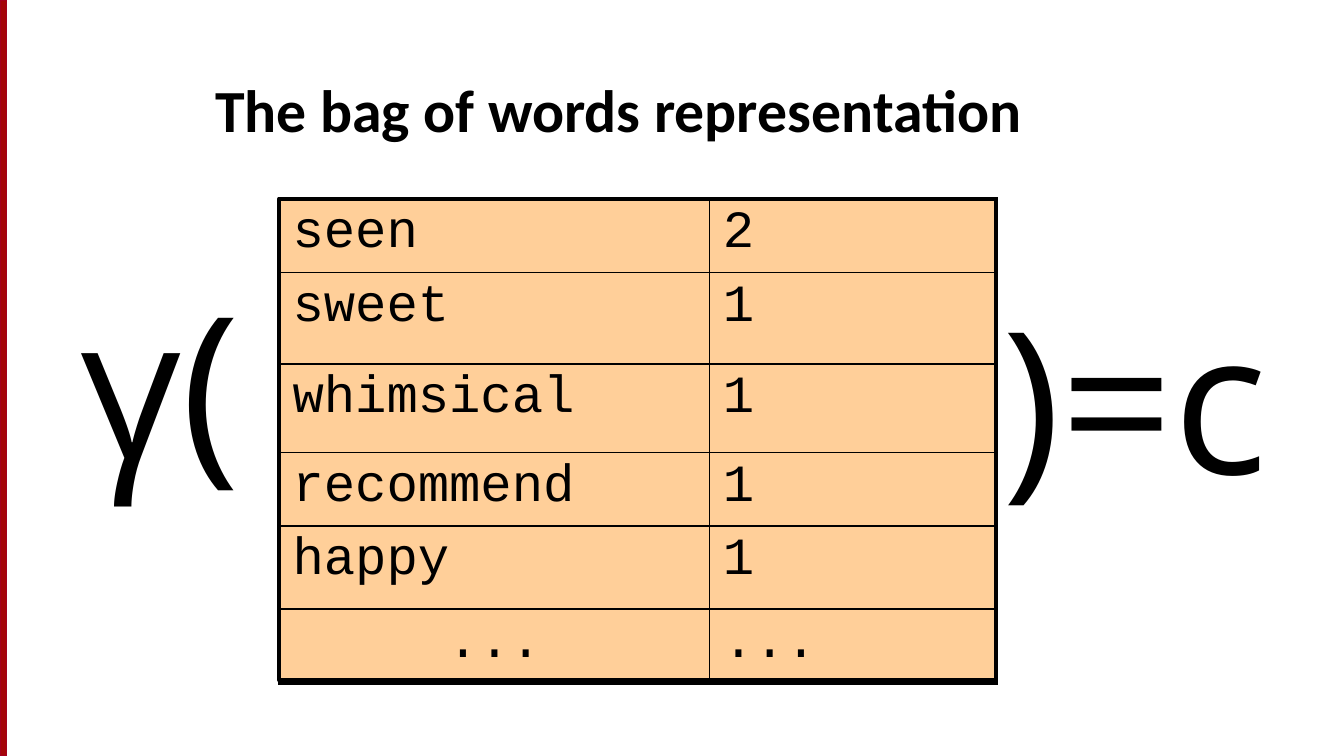
from lxml import etree
from pptx import Presentation
from pptx.dml.color import RGBColor
from pptx.enum.shapes import MSO_SHAPE
from pptx.enum.text import MSO_ANCHOR, MSO_AUTO_SIZE, PP_ALIGN
from pptx.oxml.ns import qn
from pptx.util import Cm, Pt

RECTANGLE = MSO_SHAPE.RECTANGLE
BOTTOM = MSO_ANCHOR.BOTTOM
LEFT, CENTER = PP_ALIGN.LEFT, PP_ALIGN.CENTER
NO_FIT, GROW = MSO_AUTO_SIZE.NONE, MSO_AUTO_SIZE.SHAPE_TO_FIT_TEXT

BLACK, PEACH, CRIMSON, DARK_RED = "000000", "FFCF99", "A4001D", "A40508"
TITLE_FONT = {"name": "Calibri", "size": Pt(32), "bold": True}
FORMULA_FONT = {"name": "Open Sans", "size": Pt(106)}
WORD_FONT = {"name": "Courier New", "size": Pt(28)}
CELL_MARGINS = {"margin_left": Cm(0.25), "margin_right": Cm(0.25),
                "margin_top": Cm(0.1), "margin_bottom": Cm(0.1)}
THICK, THIN = Pt(2.25), Pt(1)

WORD_COUNTS = [("seen", "2"), ("sweet", "1"), ("whimsical", "1"),
               ("recommend", "1"), ("happy", "1"), ("...", "...")]
COLUMN_WIDTHS = [8.13, 5.41]
ROW_HEIGHTS = [1.36, 1.73, 1.68, 1.36, 1.57, 1.4]


def color(hex_value):
    """Return the colour for a hex string."""
    return RGBColor.from_string(hex_value)


def apply(target, values):
    """Set every attribute in the dict on the target."""
    for name, value in values.items():
        setattr(target, name, value)


def write(frame, words, font, align=LEFT):
    """Put one formatted black paragraph in a text frame."""
    frame.text = words
    paragraph = frame.paragraphs[0]
    paragraph.alignment = align
    run_font = paragraph.runs[0].font
    apply(run_font, font)
    run_font.color.rgb = color(BLACK)


def add_panel(slide, box, fill, line, width):
    """Draw a filled and outlined rectangle in the box."""
    panel = slide.shapes.add_shape(RECTANGLE, *map(Cm, box))
    panel.shadow.inherit = False
    panel.fill.solid()
    panel.fill.fore_color.rgb = color(fill)
    panel.line.color.rgb = color(line)
    panel.line.width = width


def place_title(slide, box, words):
    """Move the title placeholder into the box and fill it."""
    title = slide.shapes.title
    apply(title, dict(zip(("left", "top", "width", "height"), map(Cm, box))))
    write(title.text_frame, words, TITLE_FONT)
    apply(title.text_frame, {"vertical_anchor": BOTTOM, "auto_size": NO_FIT,
                             "word_wrap": True})


def add_formula_part(slide, box, symbols, wrap):
    """Write one side of the classifier formula in the box."""
    frame = slide.shapes.add_textbox(*map(Cm, box)).text_frame
    write(frame, symbols, FORMULA_FONT)
    apply(frame, {"word_wrap": wrap, "auto_size": GROW})


def set_borders(cell, widths):
    """Give a cell solid black borders with a width for each side."""
    properties = cell._tc.get_or_add_tcPr()
    for position, (side, width) in enumerate(widths.items()):
        border = etree.Element(qn(f"a:ln{side}"), w=str(width))
        fill = etree.SubElement(border, qn("a:solidFill"))
        etree.SubElement(fill, qn("a:srgbClr"), val=BLACK)
        properties.insert(position, border)


def add_word_counts(slide, box):
    """Draw the peach panel and the word count table in the box."""
    add_panel(slide, box, PEACH, BLACK, THICK)
    last_row, last_column = len(WORD_COUNTS) - 1, len(COLUMN_WIDTHS) - 1
    table = slide.shapes.add_table(last_row + 1, last_column + 1,
                                   *map(Cm, box)).table
    apply(table, {"first_row": False, "horz_banding": False})
    for column, width in zip(table.columns, COLUMN_WIDTHS):
        column.width = Cm(width)
    for row, height in zip(table.rows, ROW_HEIGHTS):
        row.height = Cm(height)
    for r, entry in enumerate(WORD_COUNTS):
        for c, words in enumerate(entry):
            cell = table.cell(r, c)
            centered = r == last_row and c == 0
            write(cell.text_frame, words, WORD_FONT, CENTER if centered else LEFT)
            apply(cell, CELL_MARGINS)
            cell.fill.background()
            set_borders(cell, {"L": THIN if c else THICK,
                               "R": THICK if c == last_column else THIN,
                               "T": THIN if r else THICK,
                               "B": THICK if r == last_row else THIN})


def main():
    """Build the slide and save it."""
    deck = Presentation()
    apply(deck, {"slide_width": Cm(25.4), "slide_height": Cm(14.29)})
    slide = deck.slides.add_slide(deck.slide_layouts[5])
    add_panel(slide, (0, 0, 0.12, 14.29), DARK_RED, CRIMSON, Pt(0.75))
    place_title(slide, (3.81, 0.79, 20.75, 2.06), "The bag of words representation")
    add_formula_part(slide, (1.27, 4.83, 3.81, 4.78), "γ(", True)
    add_formula_part(slide, (18.69, 5.11, 6.07, 4.78), ")=c", False)
    add_word_counts(slide, (5.28, 3.76, 13.54, 9.1))
    deck.save("out.pptx")


if __name__ == "__main__":
    main()
